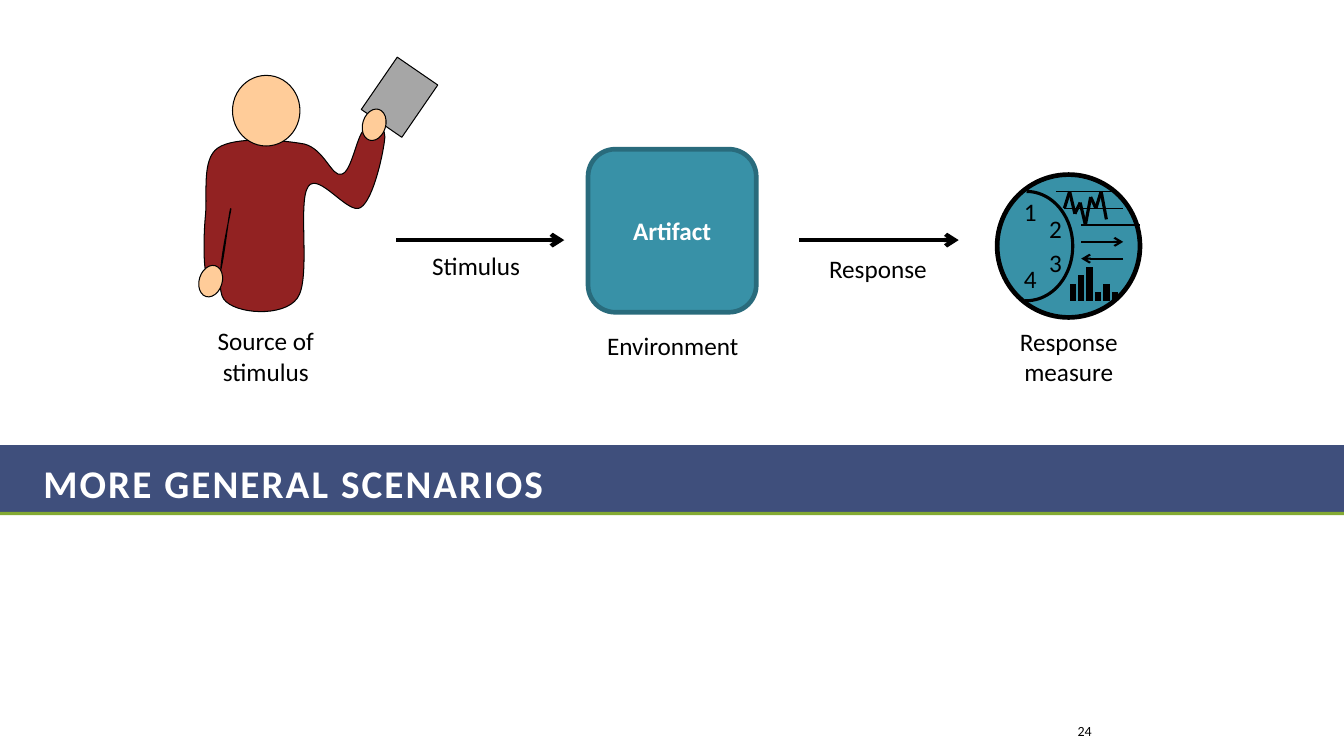
from lxml import etree
from pptx import Presentation
from pptx.dml.color import RGBColor
from pptx.enum.shapes import MSO_CONNECTOR, MSO_SHAPE
from pptx.enum.text import MSO_ANCHOR, PP_ALIGN
from pptx.oxml.ns import qn
from pptx.util import Cm, Pt

RECT, ROUNDED, OVAL, ARC = (MSO_SHAPE.RECTANGLE, MSO_SHAPE.ROUNDED_RECTANGLE,
                            MSO_SHAPE.OVAL, MSO_SHAPE.ARC)
STRAIGHT = MSO_CONNECTOR.STRAIGHT
LEFT, CENTER, RIGHT = PP_ALIGN.LEFT, PP_ALIGN.CENTER, PP_ALIGN.RIGHT
TOP, MIDDLE = MSO_ANCHOR.TOP, MSO_ANCHOR.MIDDLE

FONT = "Calibri"
SLIDE_W, SLIDE_H = 33.87, 19.05
COLORS = {"band": "3F4F7C", "rule": "84AA33", "shirt": "922222", "skin": "FFCC99",
          "paper": "A6A6A6", "teal": "3891A7", "teal_edge": "296B7C",
          "ink": "000000", "white": "FFFFFF"}

# Shirt outline in cm: a start point, then Bezier curves of three points each
SHIRT_START = (0.18, 5.43)
SHIRT_CURVES = [
    ((0.13, 5.18), (0.13, 4.52), (0.18, 4.01)),
    ((0.23, 3.48), (0.08, 2.61), (0.49, 2.33)),
    ((0.92, 2.03), (2.14, 2.13), (2.67, 2.23)),
    ((3.18, 2.36), (3.36, 3.07), (3.61, 2.99)),
    ((3.86, 2.94), (3.99, 2.03), (4.17, 1.88)),
    ((4.35, 1.70), (4.70, 1.72), (4.70, 2.05)),
    ((4.68, 2.38), (4.42, 3.63), (4.09, 3.83)),
    ((3.79, 4.04), (3.03, 2.92), (2.77, 3.30)),
    ((2.49, 3.68), (2.85, 5.64), (2.49, 6.12)),
    ((2.14, 6.60), (0.92, 6.52), (0.64, 6.14)),
    ((0.36, 5.76), (0.82, 3.98), (0.82, 3.86)),
    ((0.79, 3.76), (0.64, 5.23), (0.54, 5.48)),
    ((0.44, 5.76), (0.23, 5.69), (0.18, 5.43)),
]


def color(name):
    return RGBColor.from_string(COLORS[name])


def style(shape, fill=None, line=None, weight=0.75):
    shape.shadow.inherit = False
    if fill:
        shape.fill.solid()
        shape.fill.fore_color.rgb = color(fill)
    else:
        shape.fill.background()
    if line:
        shape.line.color.rgb = color(line)
        shape.line.width = Pt(weight)
    else:
        shape.line.fill.background()


def add_shape(parent, kind, box, fill=None, line=None, weight=0.75, rotation=0):
    shape = parent.shapes.add_shape(kind, *map(Cm, box))
    style(shape, fill, line, weight)
    shape.rotation = rotation
    return shape


def add_curve(parent, start, curves, fill, line):
    builder = parent.shapes.build_freeform(*start)
    builder.add_line_segments([point for curve in curves for point in curve], close=True)
    outline = builder.convert_to_shape()
    style(outline, fill, line)
    # Join every three straight segments into one Bezier curve
    segments = list(outline.element.iter(qn("a:lnTo")))
    for first, second, end in zip(*[iter(segments)] * 3):
        first.tag = qn("a:cubicBezTo")
        for segment in (second, end):
            first.append(segment[0])
            segment.getparent().remove(segment)


def add_line(parent, start, end, weight, arrow=False):
    line = parent.shapes.add_connector(STRAIGHT, *map(Cm, (*start, *end)))
    line.line.color.rgb = color("ink")
    line.line.width = Pt(weight)
    if arrow:
        outline = line.element.spPr.find(qn("a:ln"))
        etree.SubElement(outline, qn("a:tailEnd"), type="arrow")
    etree.SubElement(line.element.spPr, qn("a:effectLst"))


def write(shape, text, size=18, ink="ink", bold=False, align=CENTER, anchor=TOP):
    frame = shape.text_frame
    frame.word_wrap = True
    frame.vertical_anchor = anchor
    paragraph = frame.paragraphs[0]
    paragraph.text = text
    paragraph.alignment = align
    for run in paragraph.runs:
        run.font.name = FONT
        run.font.size = Pt(size)
        run.font.bold = bold
        run.font.color.rgb = color(ink)
    return paragraph


def add_label(slide, box, text, **look):
    write(slide.shapes.add_textbox(*map(Cm, box)), text, **look)


def title_band(slide, left, top, width):
    title = slide.shapes.title
    band = add_shape(slide, RECT, (left, top, width, 1.7), "band")
    rule = add_shape(slide, RECT, (left, top + 1.68, width, 0.08), "rule")
    for strip in (band, rule):
        title.element.addprevious(strip.element)
    title.left, title.top = Cm(left + 0.84), Cm(top + 0.21)
    title.width, title.height = Cm(26.82), Cm(1.47)
    heading = write(title, "MORE GENERAL SCENARIOS", 28, "white", True, LEFT, MIDDLE)
    heading.runs[0].font._element.set("spc", "150")


def stimulus_source(slide, left, top):
    figure = slide.shapes.add_group_shape()

    def at(point):
        return Cm(left + point[0]), Cm(top + point[1])

    # Shirt
    curves = [[at(point) for point in curve] for curve in SHIRT_CURVES]
    add_curve(figure, at(SHIRT_START), curves, "shirt", "ink")
    # Paper, head and hands
    for kind, x, y, width, height, fill, rotation in (
            (RECT, 4.45, 0.25, 1.24, 1.6, "paper", 34.5),
            (OVAL, 0.86, 0.5, 1.7, 1.78, "skin", 0),
            (OVAL, 0.02, 5.28, 0.58, 0.81, "skin", 16.9),
            (OVAL, 4.14, 1.34, 0.58, 0.81, "skin", 16.9)):
        add_shape(figure, kind, (left + x, top + y, width, height), fill, "ink",
                  rotation=rotation)
    add_label(slide, (left + 0.01, top + 6.68, 3.38, 1.8), "Source of stimulus")


def artifact(slide, left, top, width, height):
    block = add_shape(slide, ROUNDED, (left, top, width, height),
                      "teal", "teal_edge", 3.35)
    write(block, "Artifact", ink="white", bold=True, anchor=MIDDLE)
    add_label(slide, (left + 0.13, top + height + 0.33, 4.01, 1.02), "Environment")


def response_gauge(slide, left, top, size):
    unit = size / 17

    def at(x, y):
        return left + x * unit, top + y * unit

    # Dial with its arc and digits
    add_shape(slide, OVAL, (left, top, size, size), "teal", "ink", 3.35)
    arc = add_shape(slide, ARC, (*at(-2, 2), 11 * unit, 13 * unit), None, "ink", 2.25)
    arc.adjustments[0], arc.adjustments[1] = 162, 54.96
    for digit, x, y in (("1", 2, 2), ("2", 5, 4), ("3", 5, 8), ("4", 2, 10)):
        add_label(slide, (*at(x, y), 5 * unit, 5 * unit), digit, align=LEFT)
    # Guide lines
    guides = slide.shapes.add_group_shape()
    for x, y in ((7, 2), (8, 4), (10, 6)):
        add_line(guides, at(x, y), at(x + 7, y), 0.75)
    # Signal
    signal = slide.shapes.add_group_shape()
    levels = (4, 2, 4.67, 3.33, 6, 2.67, 4, 2, 5.33)
    peaks = [at(8 + i * 5 / 8, level) for i, level in enumerate(levels)]
    for start, end in zip(peaks, peaks[1:]):
        add_line(signal, start, end, 2.25)
    # Opposed arrows
    add_line(slide, at(10, 8), at(15, 8), 1.5, arrow=True)
    add_line(slide, at(15, 10), at(10, 10), 1.5, arrow=True)
    # Bars
    bars = slide.shapes.add_group_shape()
    for x, height in enumerate((2, 3, 4, 1, 2, 1), start=9):
        add_line(bars, at(x, 15 - height), at(x, 15), 4.5)
    add_label(slide, (left - 0.2, top + size + 0.1, 4.01, 1.8), "Response\nmeasure")


def flow_arrow(slide, left, top, length, text, label_box):
    add_line(slide, (left, top), (left + length, top), 3, arrow=True)
    x, y, width = label_box
    add_label(slide, (left + x, top + y, width, 1.02), text)


def scenario_slide(prs):
    slide = prs.slides.add_slide(prs.slide_layouts[0])
    subtitle = slide.placeholders[1].element
    subtitle.getparent().remove(subtitle)
    title_band(slide, 0, 11.22, SLIDE_W)
    stimulus_source(slide, 5, 1.4)
    artifact(slide, 14.82, 3.76, 4.24, 4.11)
    response_gauge(slide, 25.13, 4.4, 3.6)
    flow_arrow(slide, 9.98, 6.05, 4.24, "Stimulus", (0.33, 0.14, 3.38))
    flow_arrow(slide, 20.14, 6.05, 4.02, "Response", (-0.02, 0.22, 4.01))
    # Page number
    add_label(slide, (23.98, 18, 3.78, 0.84), "24", size=10, align=RIGHT, anchor=MIDDLE)


def main():
    prs = Presentation()
    prs.slide_width, prs.slide_height = Cm(SLIDE_W), Cm(SLIDE_H)
    scenario_slide(prs)
    prs.save("out.pptx")


if __name__ == "__main__":
    main()
